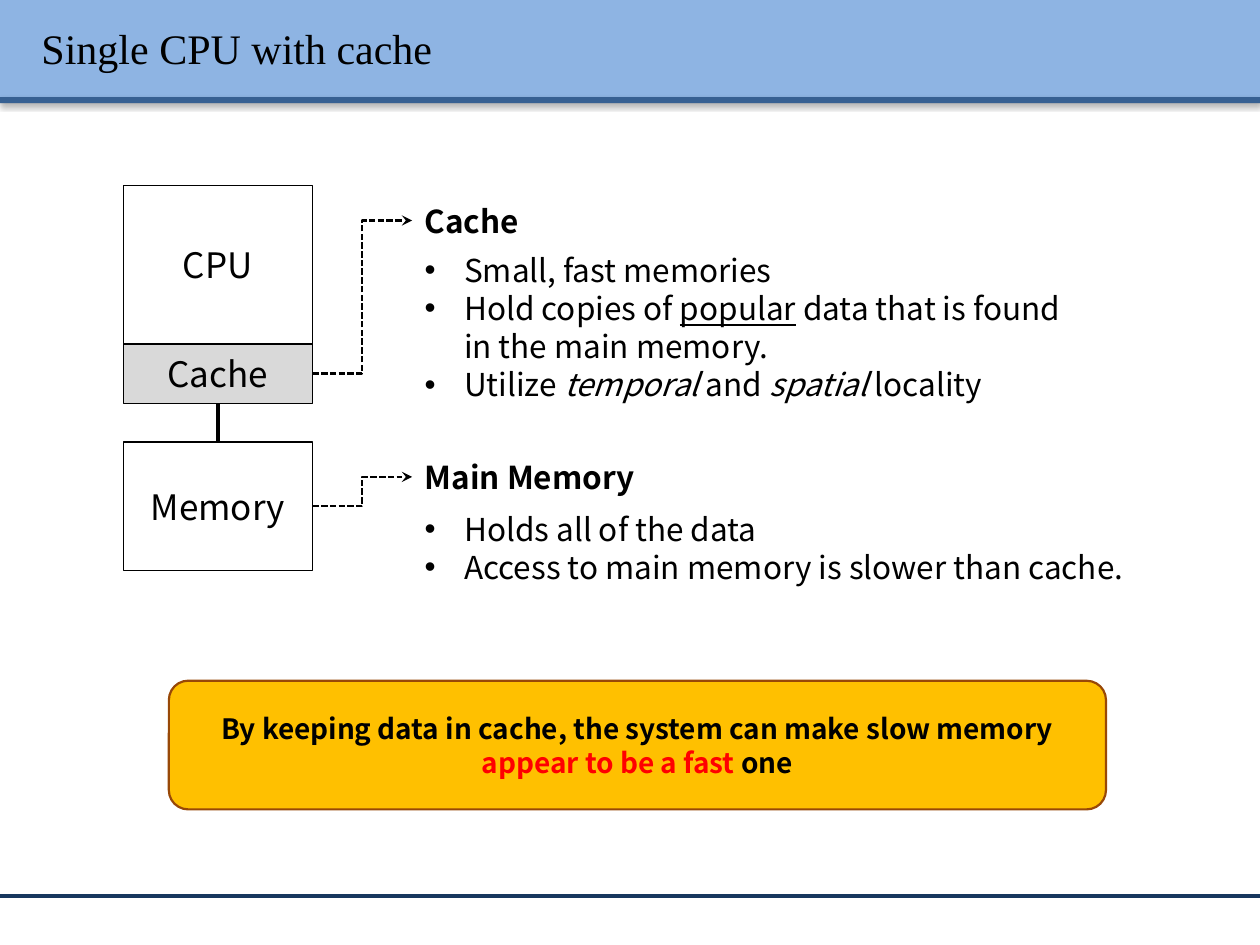
from dataclasses import dataclass

from lxml.etree import SubElement
from pptx import Presentation
from pptx.dml.color import RGBColor
from pptx.enum.dml import MSO_LINE
from pptx.enum.shapes import MSO_CONNECTOR, MSO_SHAPE
from pptx.enum.text import MSO_ANCHOR, MSO_AUTO_SIZE, PP_ALIGN
from pptx.oxml.ns import qn
from pptx.util import Pt

RECT, ROUNDED = MSO_SHAPE.RECTANGLE, MSO_SHAPE.ROUNDED_RECTANGLE
STRAIGHT, ELBOW = MSO_CONNECTOR.STRAIGHT, MSO_CONNECTOR.ELBOW
LEFT, CENTER = PP_ALIGN.LEFT, PP_ALIGN.CENTER
TOP, MIDDLE = MSO_ANCHOR.TOP, MSO_ANCHOR.MIDDLE
SYS_DASH = MSO_LINE.SQUARE_DOT
NO_FIT = MSO_AUTO_SIZE.NONE

BLACK = RGBColor(0x00, 0x00, 0x00)
WHITE = RGBColor(0xFF, 0xFF, 0xFF)
GREY = RGBColor(0xD9, 0xD9, 0xD9)
RED = RGBColor(0xFF, 0x00, 0x00)
AMBER = RGBColor(0xFF, 0xC0, 0x00)
BROWN = RGBColor(0x98, 0x48, 0x07)
LIGHT_BLUE = RGBColor(0x8E, 0xB4, 0xE3)
BLUE = RGBColor(0x37, 0x60, 0x92)
NAVY = RGBColor(0x17, 0x37, 0x5E)

SANS, SERIF = "Noto Sans CJK KR", "Times New Roman"
LINE_FACTOR = 1.21
INDENT = Pt(22.5)


@dataclass
class Box:
    x: float
    y: float
    w: float
    h: float


@dataclass
class Run:
    text: str
    color: RGBColor = BLACK
    bold: bool = False
    italic: bool = False
    underline: bool = False


@dataclass
class Block:
    text: str
    top: float
    height: float
    fill: RGBColor = WHITE


@dataclass
class Topic:
    heading: str
    heading_top: float
    list_box: Box
    items: list[list[Run]]


def add_shadow(effects, blur: float, dist: float, alpha: int) -> None:
    shadow = SubElement(effects, qn("a:outerShdw"), blurRad=str(Pt(blur)),
                        dist=str(Pt(dist)), dir="5400000", rotWithShape="0")
    color = SubElement(shadow, qn("a:srgbClr"), val="000000")
    SubElement(color, qn("a:alpha"), val=str(alpha * 1000))


def place(sp, box: Box) -> None:
    sp.left, sp.top, sp.width, sp.height = map(Pt, (box.x, box.y, box.w, box.h))


def add_runs(p, runs: list[Run], size: float, align=LEFT) -> None:
    p.alignment = align
    p.space_before = Pt(0)
    p.line_spacing = Pt(round(size * LINE_FACTOR, 1))
    for run in runs:
        r = p.add_run()
        r.text = run.text
        f = r.font
        f.name, f.size, f.color.rgb = SANS, Pt(size), run.color
        f.bold, f.italic, f.underline = run.bold, run.italic, run.underline


def add_box(shapes, kind, box: Box, fill: RGBColor, line: RGBColor | None = None,
            width: float = 0.75):
    sp = shapes.add_shape(kind, Pt(box.x), Pt(box.y), Pt(box.w), Pt(box.h))
    sp.shadow.inherit = False
    sp.fill.solid()
    sp.fill.fore_color.rgb = fill
    if line is None:
        sp.line.fill.background()
    else:
        sp.line.color.rgb, sp.line.width = line, Pt(width)
    return sp


def add_label(sp, runs: list[Run], size: float) -> None:
    tf = sp.text_frame
    tf.word_wrap, tf.vertical_anchor = True, MIDDLE
    tf.margin_left = tf.margin_right = Pt(8.5)
    add_runs(tf.paragraphs[0], runs, size, CENTER)


def add_line(shapes, kind, width: float, color: RGBColor, ends=(0, 0, 0, 0)):
    cxn = shapes.add_connector(kind, *map(Pt, ends))
    cxn.line.color.rgb, cxn.line.width = color, Pt(width)
    SubElement(cxn.element.spPr, qn("a:effectLst"))
    return cxn


def fill_placeholder(sp, box: Box, paragraphs: list[list[Run]], bullets: bool) -> None:
    place(sp, box)
    tf = sp.text_frame
    tf.word_wrap, tf.auto_size, tf.vertical_anchor = True, NO_FIT, TOP
    for i, runs in enumerate(paragraphs):
        p = tf.add_paragraph() if i else tf.paragraphs[0]
        if bullets:
            pPr = p._p.get_or_add_pPr()
            pPr.set("marL", str(INDENT))
            pPr.set("indent", str(-INDENT))
            SubElement(pPr, qn("a:buFont"), typeface="Arial")
            SubElement(pPr, qn("a:buChar"), char="•")
        add_runs(p, runs, 18)


def add_pointer(shapes, block, heading) -> None:
    cxn = add_line(shapes, ELBOW, 1.25, BLACK)
    cxn.begin_connect(block, 3)
    cxn.end_connect(heading, 1)
    cxn.line.dash_style = SYS_DASH
    SubElement(cxn.line._get_or_add_ln(), qn("a:tailEnd"), type="stealth")


BLOCKS = [Block("CPU", 106, 90.5), Block("Cache", 196.5, 34, GREY),
          Block("Memory", 252.5, 73.5)]
TOPICS = [
    Topic("Cache", 111.5, Box(235.5, 139.5, 391, 94.5), [
        [Run("Small, fast memories")],
        [Run("Hold copies of "), Run("popular", underline=True),
         Run(" data that is found in the main memory.")],
        [Run("Utilize "), Run("temporal", italic=True), Run(" and "),
         Run("spatial", italic=True), Run(" locality")]]),
    Topic("Main Memory", 258, Box(235.5, 287.5, 430.5, 51), [
        [Run("Holds all of the data")],
        [Run("Access to main memory is slower than cache.")]]),
]

prs = Presentation()
prs.slide_width, prs.slide_height = Pt(720), Pt(540)
s = prs.slides.add_slide(prs.slide_layouts[4])  # title, two headings, two lists
shapes = s.shapes

# Header bands and footer rule, behind the placeholders
bands = [add_box(shapes, RECT, Box(0, 0, 720, 55.5), LIGHT_BLUE),
         add_box(shapes, RECT, Box(0, 55.5, 720, 3.5), BLUE)]
for band in bands:
    add_shadow(band.element.spPr.find(qn("a:effectLst")), 3.1, 1.6, 38)
rule = add_line(shapes, STRAIGHT, 2, NAVY, (0, 512, 720, 512))
for i, item in enumerate([*bands, rule]):
    item.element.getparent().insert(2 + i, item.element)

# Title
title = shapes.title
place(title, Box(16.5, 4.5, 692, 46))
tf = title.text_frame
tf.vertical_anchor, tf.auto_size = MIDDLE, NO_FIT
p = tf.paragraphs[0]
p.alignment = LEFT
r = p.add_run()
r.text = "Single CPU with cache"
r.font.size, r.font.color.rgb = Pt(24), BLACK
add_shadow(SubElement(r.font._element, qn("a:effectLst")), 3, 1.5, 43)
r.font.name = SERIF

# Block diagram
cpu, cache, memory = blocks = [
    add_box(shapes, RECT, Box(70.5, b.top, 108, b.height), b.fill, BLACK)
    for b in BLOCKS]
for sp, block in zip(blocks, BLOCKS):
    add_label(sp, [Run(block.text)], 20)
bus = add_line(shapes, STRAIGHT, 2, BLACK)
bus.begin_connect(cache, 2)
bus.end_connect(memory, 0)

# Headings and lists, each pointed to by its block
for i, (topic, block) in enumerate(zip(TOPICS, (cache, memory))):
    heading, body = (s.placeholders[2 * i + n] for n in (1, 2))
    fill_placeholder(heading, Box(235.5, topic.heading_top, 181.5, 29),
                     [[Run(topic.heading, bold=True)]], False)
    fill_placeholder(body, topic.list_box, topic.items, True)
    add_pointer(shapes, block, heading)

# Conclusion
conclusion = add_box(shapes, ROUNDED, Box(96.5, 389, 535.5, 73.5), AMBER, BROWN, 1.25)
conclusion.adjustments[0] = 0.15
add_label(conclusion, [
    Run("By keeping data in cache, the system can make slow memory ", bold=True),
    Run("appear to be a fast ", RED, True), Run("one", bold=True)], 16)

prs.save("out.pptx")
